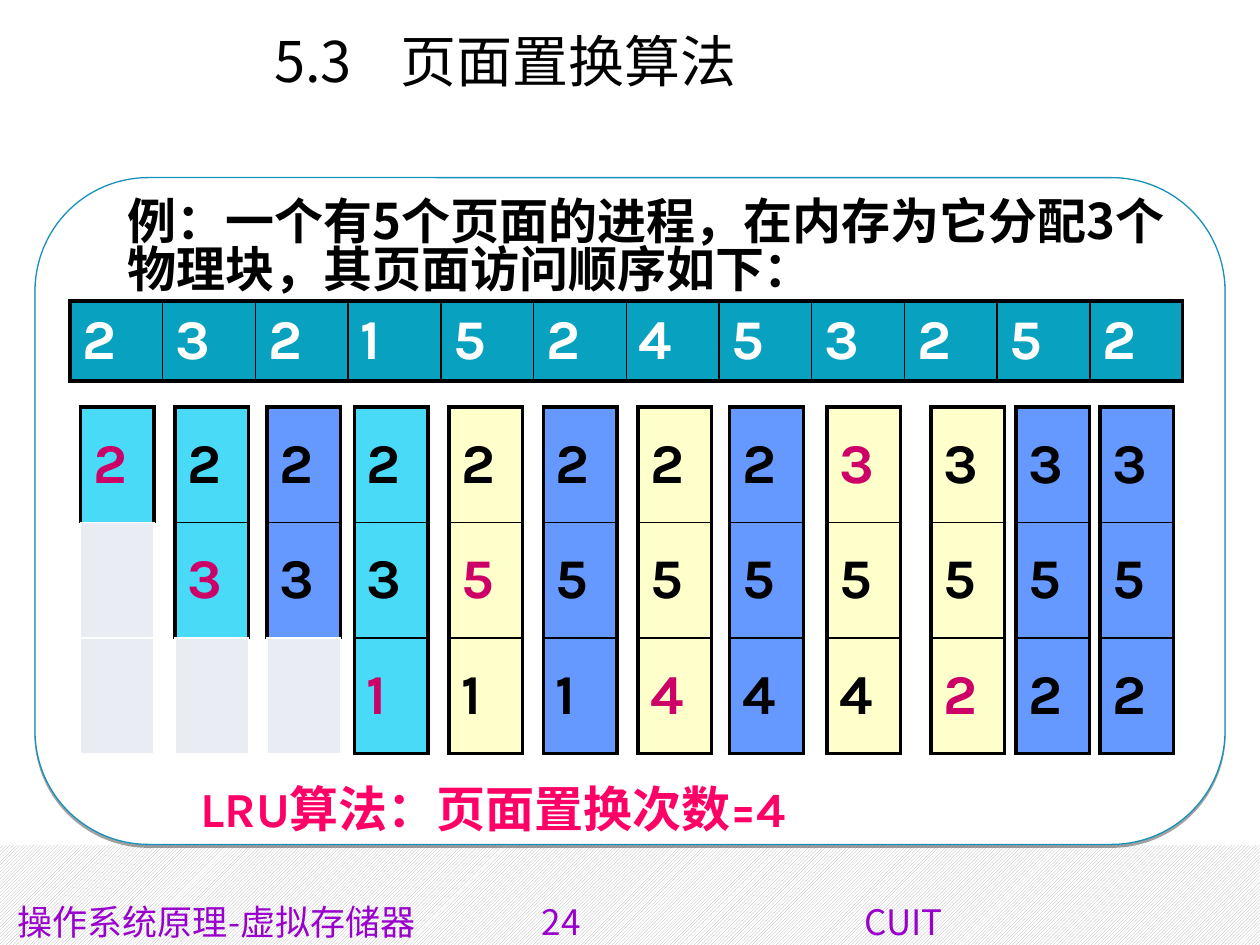
from lxml.etree import SubElement
from pptx import Presentation
from pptx.dml.color import RGBColor
from pptx.enum.dml import MSO_PATTERN
from pptx.enum.shapes import MSO_SHAPE
from pptx.enum.text import MSO_ANCHOR, PP_ALIGN
from pptx.oxml import parse_xml
from pptx.oxml.ns import nsdecls, qn
from pptx.util import Pt

CJK, LATIN = "Noto Sans CJK SC", "Karla"
BLACK, WHITE, CRIMSON = "000000", "FFFFFF", "CC0066"
LOADED, HIT, REPLACED = "49DAF7", "6699FF", "FFFFCC"

TITLE = "5.3\t页面置换算法"
EXAMPLE = "例：一个有5个页面的进程，在内存为它分配3个物理块，其页面访问顺序如下："
RESULT = "LRU算法：页面置换次数=4"
FOOTER = "操作系统原理-虚拟存储器\t24\tCUIT"
FOOTER_TABS = [299.5, 484]
ACCESSES = "232152453252"
FRAMES = [
    (46, LOADED, ["2", "", ""], 0),
    (100, LOADED, ["2", "3", ""], 1),
    (152.5, HIT, ["2", "3", ""], None),
    (202.5, LOADED, ["2", "3", "1"], 2),
    (256.5, REPLACED, ["2", "5", "1"], 1),
    (310.5, HIT, ["2", "5", "1"], None),
    (364.5, REPLACED, ["2", "5", "4"], 2),
    (417, HIT, ["2", "5", "4"], None),
    (472.5, REPLACED, ["3", "5", "4"], 0),
    (532, REPLACED, ["3", "5", "2"], 2),
    (580.5, HIT, ["3", "5", "2"], None),
    (628.5, HIT, ["3", "5", "2"], None),
]


def rgb(color):
    return RGBColor.from_string(color)


def style(paragraph, font_name, size, color, bold=False):
    for run in paragraph.runs:
        font = run.font
        font.name, font.size, font.bold = font_name, Pt(size), bold
        font.color.rgb = rgb(color)
        SubElement(run.font._element, qn("a:ea")).set("typeface", CJK)


def add_text(slide, box, text, font_name, size, color, bold=False):
    frame = slide.shapes.add_textbox(*map(Pt, box)).text_frame
    frame.word_wrap = True
    frame.text = text
    style(frame.paragraphs[0], font_name, size, color, bold)
    return frame


def add_borders(cell, widths):
    properties = cell._tc.get_or_add_tcPr()
    for position, (side, width) in enumerate(zip("LRTB", widths)):
        properties.insert(position, parse_xml(
            f'<a:ln{side} {nsdecls("a")} w="{Pt(width)}"><a:solidFill>'
            f'<a:srgbClr val="{BLACK}"/></a:solidFill></a:ln{side}>'))


def add_grid(slide, left, top, col_width, row_height, rows, fill, color, accent_row=None):
    row_count, col_count = len(rows), len(rows[0])
    table = slide.shapes.add_table(
        row_count, col_count, Pt(left), Pt(top),
        Pt(col_width * col_count), Pt(row_height * row_count)).table
    table.first_row = table.horz_banding = False
    for column in table.columns:
        column.width = Pt(col_width)
    for r, pages in enumerate(rows):
        table.rows[r].height = Pt(row_height)
        for c, page in enumerate(pages):
            cell = table.cell(r, c)
            cell.text = page
            cell.vertical_anchor = MSO_ANCHOR.MIDDLE
            cell.fill.solid()
            cell.fill.fore_color.rgb = rgb(fill)
            style(cell.text_frame.paragraphs[0], LATIN, 32,
                  CRIMSON if r == accent_row else color, True)
            outer = (c == 0, c == col_count - 1, r == 0, r == row_count - 1)
            add_borders(cell, [2.25 if edge else 1 for edge in outer])


prs = Presentation()
prs.slide_width, prs.slide_height = Pt(720), Pt(540)
slide = prs.slides.add_slide(prs.slide_layouts[5])

band = slide.shapes.add_shape(MSO_SHAPE.RECTANGLE, Pt(0), Pt(483), Pt(720), Pt(57))
band.shadow.inherit = False
band.fill.patterned()
band.fill.pattern = MSO_PATTERN.DARK_UPWARD_DIAGONAL
band.fill.fore_color.rgb = rgb("B2B2B2")
band.fill.back_color.rgb = rgb(WHITE)
band.line.fill.background()

panel = slide.shapes.add_shape(
    MSO_SHAPE.ROUNDED_RECTANGLE, Pt(20), Pt(101.5), Pt(680), Pt(381))
panel.adjustments[0] = 0.17
panel.fill.solid()
panel.fill.fore_color.rgb = rgb(WHITE)
panel.line.color.rgb = rgb("1790BB")
panel.line.width = Pt(0.75)
panel._element.spPr.append(parse_xml(
    f'<a:effectLst {nsdecls("a")}><a:outerShdw blurRad="0" dist="{Pt(1.6)}" dir="5400000">'
    f'<a:srgbClr val="{BLACK}"><a:alpha val="37000"/></a:srgbClr></a:outerShdw></a:effectLst>'))

title = slide.shapes.title
title.left, title.top, title.width, title.height = map(Pt, (36, 11.5, 505.5, 89.5))
title.text_frame.text = TITLE
title.text_frame.vertical_anchor = MSO_ANCHOR.TOP
title.text_frame.paragraphs[0].alignment = PP_ALIGN.CENTER
style(title.text_frame.paragraphs[0], CJK, 32, BLACK)

example = add_text(slide, (66, 108, 613.5, 65.5), EXAMPLE, CJK, 28, BLACK, True)
example.vertical_anchor = MSO_ANCHOR.BOTTOM
example.paragraphs[0].line_spacing = 0.82
add_text(slide, (107.5, 441.5, 594, 41), RESULT, LATIN, 28, "FF0066", True)

footer = add_text(slide, (3, 511, 720, 29), FOOTER, CJK, 20, "9900CC")
tabs = SubElement(footer.paragraphs[0]._p.get_or_add_pPr(), qn("a:tabLst"))
for position in FOOTER_TABS:
    SubElement(tabs, qn("a:tab"), pos=str(Pt(position)), algn="l")

add_grid(slide, 40, 172, 53, 45, [ACCESSES], "08A1C0", WHITE)
for left, fill, pages, faulted in FRAMES:
    add_grid(slide, left, 232.5, 42, 66, pages, fill, BLACK, faulted)

prs.save("out.pptx")
